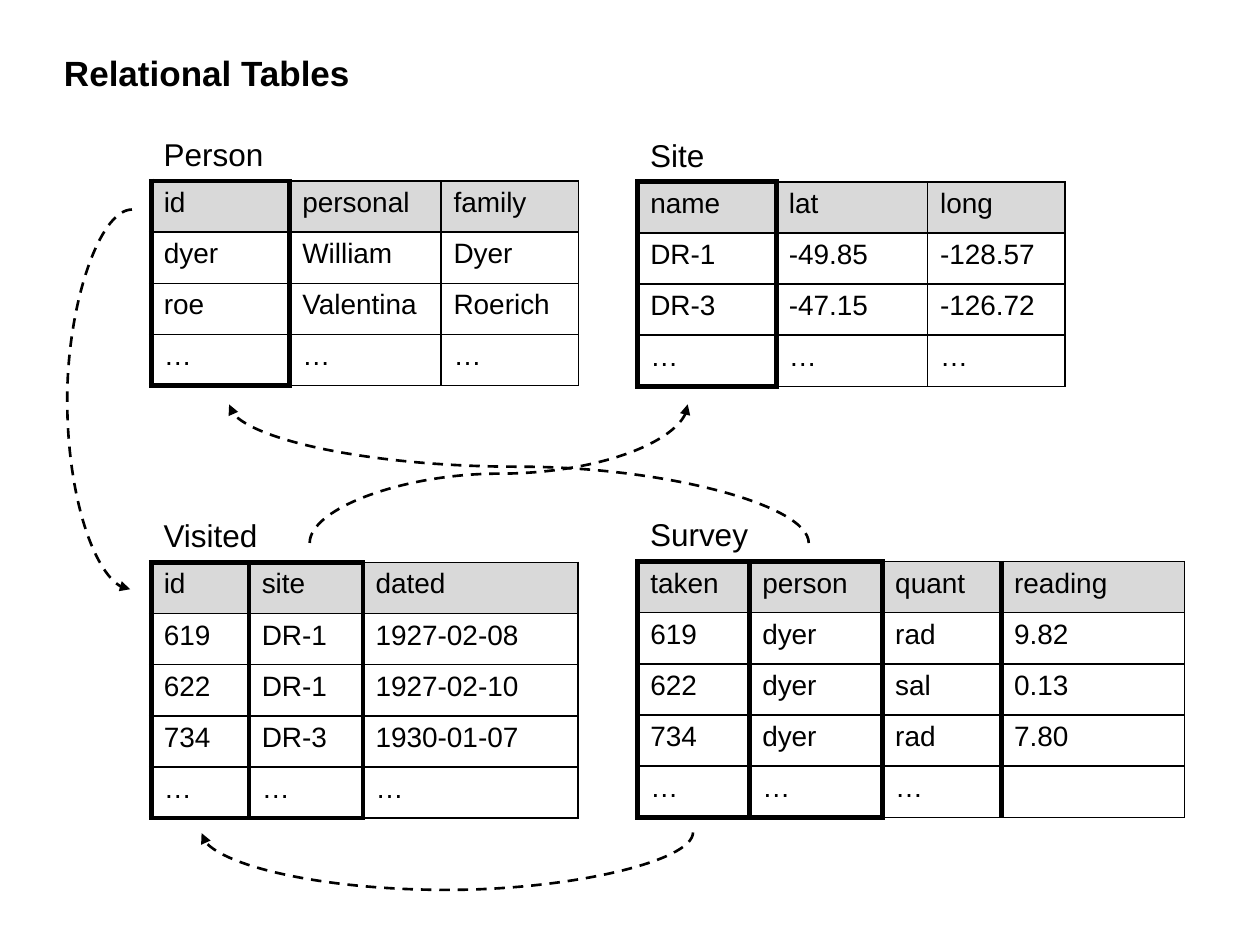
from dataclasses import dataclass
from math import cos, radians, sin

from lxml.etree import SubElement
from pptx import Presentation
from pptx.dml.color import RGBColor
from pptx.enum.dml import MSO_LINE
from pptx.enum.shapes import MSO_CONNECTOR
from pptx.enum.text import MSO_AUTO_SIZE
from pptx.oxml.ns import qn
from pptx.util import Pt


@dataclass(frozen=True)
class Theme:
    font: str = "Arial"
    ink: str = "000000"
    header: str = "D9D9D9"
    title: int = 20
    label: int = 18
    cell: int = 16
    thin: int = 1
    thick: int = 3
    arrow: float = 1.5


THEME = Theme()
ROW = 29.25
LABEL_BOX = (236, 29.5)

TABLES = [
    dict(name="Person", left=86.4, top=103.4, cols=[79.2, 86.4, 78.5], keys=1, edges=2,
         rows=[["id", "personal", "family"],
               ["dyer", "William", "Dyer"],
               ["roe", "Valentina", "Roerich"],
               ["…", "…", "…"]]),
    dict(name="Visited", left=86.4, top=321.4, cols=[56, 65, 123], keys=2, edges=3,
         rows=[["id", "site", "dated"],
               ["619", "DR-1", "1927-02-08"],
               ["622", "DR-1", "1927-02-10"],
               ["734", "DR-3", "1930-01-07"],
               ["…", "…", "…"]]),
    dict(name="Site", left=364.4, top=103.9, cols=[79.2, 86.4, 78.5], keys=1, edges=2,
         rows=[["name", "lat", "long"],
               ["DR-1", "-49.85", "-128.57"],
               ["DR-3", "-47.15", "-126.72"],
               ["…", "…", "…"]]),
    dict(name="Survey", left=364.4, top=320.9, cols=[64, 76, 68, 104.4], keys=2, edges=4,
         rows=[["taken", "person", "quant", "reading"],
               ["619", "dyer", "rad", "9.82"],
               ["622", "dyer", "sal", "0.13"],
               ["734", "dyer", "rad", "7.80"],
               ["…", "…", "…", ""]]),
]

ARROWS = [
    dict(begin=(177, 310.3), end=(393, 231.1), bend=270.7, turn=90),
    dict(begin=(396, 475.7), end=(115.2, 476.1), bend=508.8, turn=90),
    dict(begin=(75.4, 119.7), end=(74.4, 336.7), bend=38.1, turn=180),
    dict(begin=(462.2, 310.3), end=(131, 231.1), bend=266.7, turn=90),
]


def apply(target, values):
    for name, value in values.items():
        setattr(target, name, value)


def write(tf, text, size, bold=False):
    r = tf.paragraphs[0].add_run()
    r.text = text
    apply(r.font, dict(name=THEME.font, size=Pt(size), bold=bold))
    r.font.color.rgb = RGBColor.from_string(THEME.ink)


def add_text(s, left, top, width, height, text, size, bold=False):
    tf = s.shapes.add_textbox(Pt(left), Pt(top), Pt(width), Pt(height)).text_frame
    apply(tf, dict(word_wrap=True, auto_size=MSO_AUTO_SIZE.SHAPE_TO_FIT_TEXT))
    write(tf, text, size, bold)


def add_borders(cell, weights):
    tc_pr = cell._tc.get_or_add_tcPr()
    for side, weight in weights.items():
        ln = SubElement(tc_pr, qn(f"a:ln{side}"), w=str(Pt(weight)))
        fill = SubElement(ln, qn("a:solidFill"))
        SubElement(fill, qn("a:srgbClr"), val=THEME.ink)
        SubElement(ln, qn("a:prstDash"), val="solid")


def add_relation(s, name, left, top, cols, keys, edges, rows):
    add_text(s, left, top - 30, *LABEL_BOX, name, THEME.label)
    frame = s.shapes.add_table(len(rows), len(cols), Pt(left), Pt(top),
                               Pt(sum(cols)), Pt(ROW * len(rows)))
    table = frame.table
    apply(table, dict(first_row=False, horz_banding=False))
    for column, width in zip(table.columns, cols):
        column.width = Pt(width)
    last = len(rows) - 1

    def weight(heavy):
        return THEME.thick if heavy else THEME.thin

    for i, row in enumerate(rows):
        table.rows[i].height = Pt(ROW)
        for j, text in enumerate(row):
            cell = table.cell(i, j)
            add_borders(cell, dict(L=weight(j < edges), R=weight(j + 1 < edges),
                                   T=weight(i == 0 and j < keys),
                                   B=weight(i == last and j < keys)))
            if i == 0:
                cell.fill.solid()
                cell.fill.fore_color.rgb = RGBColor.from_string(THEME.header)
            else:
                cell.fill.background()
            if text:
                write(cell.text_frame, text, THEME.cell)


def add_arrow(s, begin, end, bend, turn):
    cx, cy = ((a + b) / 2 for a, b in zip(begin, end))
    c, n = cos(radians(turn)), sin(radians(turn))

    def unturn(point):
        dx, dy = point[0] - cx, point[1] - cy
        return Pt(cx + c * dx + n * dy), Pt(cy - n * dx + c * dy)

    sp = s.shapes.add_connector(MSO_CONNECTOR.CURVE, *unturn(begin), *unturn(end))
    apply(sp.line, dict(width=Pt(THEME.arrow), dash_style=MSO_LINE.DASH))
    sp.line.color.rgb = RGBColor.from_string(THEME.ink)
    sp_pr = sp._element.spPr
    sp_pr.find(qn("a:xfrm")).set("rot", str(turn * 60000))
    axis = 1 if turn == 90 else 0
    ratio = (bend - begin[axis]) / (end[axis] - begin[axis])
    geom = sp_pr.find(qn("a:prstGeom"))
    guides = geom.find(qn("a:avLst"))
    if guides is None:
        guides = SubElement(geom, qn("a:avLst"))
    SubElement(guides, qn("a:gd"), name="adj1", fmla=f"val {round(ratio * 100000)}")
    SubElement(sp_pr.find(qn("a:ln")), qn("a:tailEnd"), type="triangle")
    SubElement(sp_pr, qn("a:effectLst"))


def build_slide(prs):
    s = prs.slides.add_slide(prs.slide_layouts[6])
    add_text(s, 29.5, 26, 422.6, 31.7, "Relational Tables", THEME.title, True)
    for relation in TABLES:
        add_relation(s, **relation)
    for arrow in ARROWS:
        add_arrow(s, **arrow)


prs = Presentation()
apply(prs, dict(slide_width=Pt(720), slide_height=Pt(540)))
build_slide(prs)
prs.save("out.pptx")
